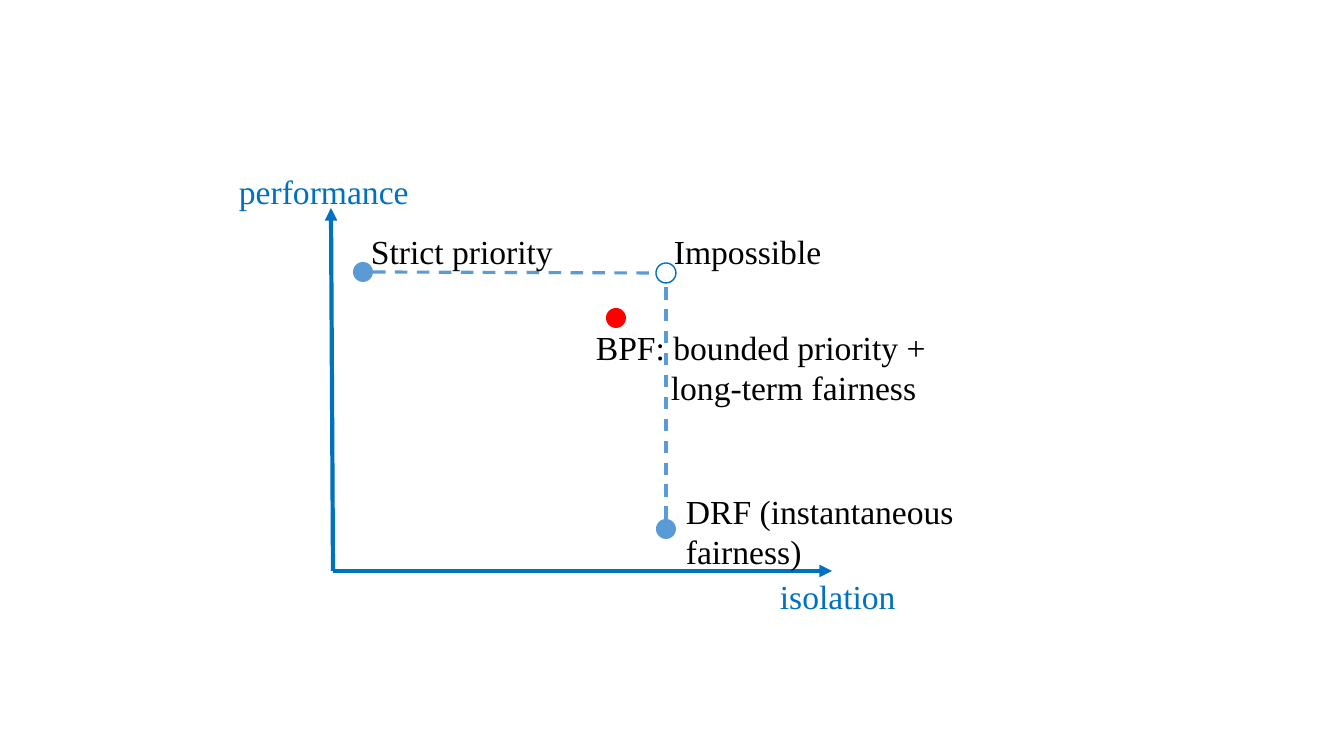
"""Build a slide that places scheduling policies on performance and isolation axes."""
from lxml import etree
from pptx import Presentation
from pptx.dml.color import RGBColor
from pptx.enum.dml import MSO_LINE
from pptx.enum.shapes import MSO_CONNECTOR, MSO_SHAPE
from pptx.oxml.ns import qn
from pptx.util import Pt

STRAIGHT = MSO_CONNECTOR.STRAIGHT
OVAL = MSO_SHAPE.OVAL
DASH = MSO_LINE.DASH
SCALE = 914400 / 100.8
AXIS_BLUE, POINT_BLUE, RED, BLACK = "0070C0", "5B9BD5", "FF0000", "000000"
FONT = "Times New Roman"
DOT = 20

deck = Presentation()
deck.slide_width = round(1344 * SCALE)
deck.slide_height = round(756 * SCALE)
page = deck.slides.add_slide(deck.slide_layouts[6])


def emu(*pixels):
    return [round(pixel * SCALE) for pixel in pixels]


def add_label(text, place, color=BLACK, size=24, hanging=0):
    box = page.shapes.add_textbox(*emu(*place))
    box.text_frame.word_wrap = True
    para = box.text_frame.paragraphs[0]
    para.text = text
    para.font.name = FONT
    para.font.size = Pt(size)
    para.font.color.rgb = RGBColor.from_string(color)
    if hanging:
        indent = emu(hanging)[0]
        properties = para._p.get_or_add_pPr()
        properties.set("marL", str(indent))
        properties.set("indent", str(-indent))


lines = [
    ((333, 571, 832, 571), AXIS_BLUE, 3, True),
    ((333, 571, 331, 208), AXIS_BLUE, 3, True),
    ((373, 272, 656, 273), POINT_BLUE, 2.25, False),
    ((666, 519, 666, 283), POINT_BLUE, 2.25, False),
]
for ends, color, width, is_axis in lines:
    connector = page.shapes.add_connector(STRAIGHT, *emu(*ends))
    connector.line.color.rgb = RGBColor.from_string(color)
    connector.line.width = Pt(width)
    if is_axis:
        etree.SubElement(connector.line._get_or_add_ln(), qn("a:tailEnd"), type="triangle")
    else:
        connector.line.dash_style = DASH
    etree.SubElement(connector._element.spPr, qn("a:effectLst"))

points = [
    (353, 262, POINT_BLUE),
    (656, 519, POINT_BLUE),
    (656, 263, None),
    (606, 308, RED),
]
for left, top, color in points:
    point = page.shapes.add_shape(OVAL, *emu(left, top, DOT, DOT))
    point.shadow.inherit = False
    if color:
        point.fill.solid()
        point.fill.fore_color.rgb = RGBColor.from_string(color)
        point.line.fill.background()
    else:
        point.fill.background()
        point.line.color.rgb = RGBColor.from_string(AXIS_BLUE)
        point.line.width = Pt(1)

add_label("performance", (229, 166, 241, 50), color=AXIS_BLUE)
add_label("isolation", (770, 571, 161, 50), color=AXIS_BLUE)
add_label("Strict priority", (361, 226, 221, 50))
add_label("Impossible", (664, 226, 200, 50))
add_label("DRF (instantaneous fairness)", (676, 486, 324, 92))
add_label("BPF: bounded priority +\vlong-term fairness", (586, 322, 369, 92), hanging=75)

deck.save("out.pptx")
